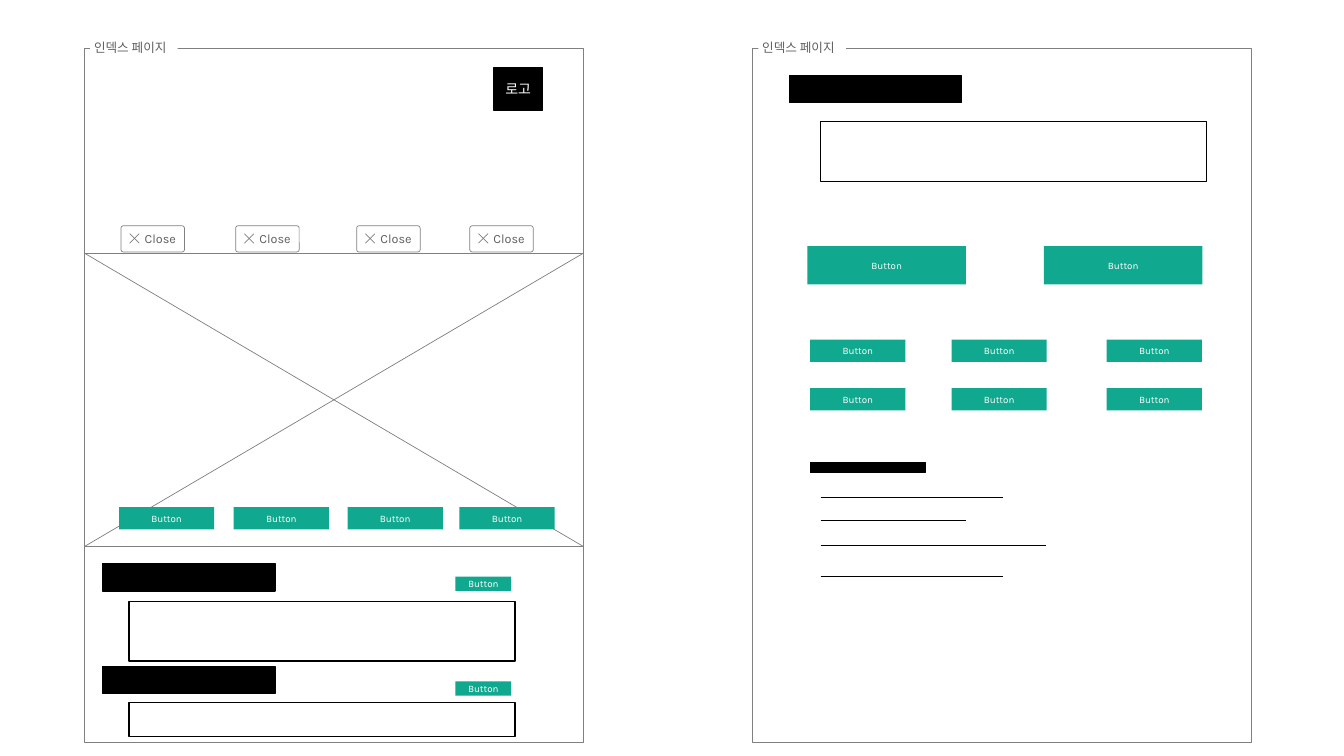
import pptx
import pptx.util
import pptx.dml.color
import pptx.enum.shapes
import pptx.enum.text
import pptx.oxml
import pptx.oxml.ns

Cm = pptx.util.Cm
Pt = pptx.util.Pt
RGBColor = pptx.dml.color.RGBColor
MSO_SHAPE = pptx.enum.shapes.MSO_SHAPE
PP_ALIGN = pptx.enum.text.PP_ALIGN
MSO_ANCHOR = pptx.enum.text.MSO_ANCHOR

WHITE = RGBColor(0xFF, 0xFF, 0xFF)
BLACK = RGBColor(0x00, 0x00, 0x00)
GRAY = RGBColor(0x80, 0x80, 0x80)
TEXT_GRAY = RGBColor(0x5F, 0x5F, 0x5F)
GREEN = RGBColor(0x10, 0xA8, 0x8E)
LATIN_FONT = "Karla"
KOREAN_FONT = "Noto Sans CJK KR"

presentation = pptx.Presentation()
presentation.slide_width = Cm(33.87)
presentation.slide_height = Cm(19.05)
slide = presentation.slides.add_slide(presentation.slide_layouts[6])


def add_box(left, top, width, height, fill, line=None, weight=1, text="", size=7,
            color=WHITE, font=LATIN_FONT, align=PP_ALIGN.CENTER,
            insets=(0, 0, 0, 0), preset=MSO_SHAPE.RECTANGLE):
    box = slide.shapes.add_shape(preset, Cm(left), Cm(top), Cm(width), Cm(height))
    box.shadow.inherit = False
    box.fill.solid()
    box.fill.fore_color.rgb = fill
    if line is None:
        box.line.fill.background()
    else:
        box.line.color.rgb = line
        box.line.width = Pt(weight)
    if text:
        frame = box.text_frame
        frame.word_wrap = True
        frame.vertical_anchor = MSO_ANCHOR.MIDDLE
        (frame.margin_left, frame.margin_top,
         frame.margin_right, frame.margin_bottom) = [Cm(inset) for inset in insets]
        paragraph = frame.paragraphs[0]
        paragraph.text = text
        paragraph.alignment = align
        paragraph.font.size = Pt(size)
        paragraph.font.name = font
        paragraph.font.color.rgb = color
        defaults = paragraph._p.pPr.find(pptx.oxml.ns.qn("a:defRPr"))
        east_asian = pptx.oxml.parse_xml(
            f'<a:ea {pptx.oxml.ns.nsdecls("a")} typeface="{KOREAN_FONT}"/>')
        defaults.append(east_asian)
    return box


def add_line(x1, y1, x2, y2, color):
    line = slide.shapes.add_connector(
        pptx.enum.shapes.MSO_CONNECTOR.STRAIGHT, Cm(x1), Cm(y1), Cm(x2), Cm(y2))
    line.line.color.rgb = color
    line.line.width = Pt(0.5)
    line._element.spPr.append(
        pptx.oxml.parse_xml(f'<a:effectLst {pptx.oxml.ns.nsdecls("a")}/>'))


PAGE_LEFT, PAGE_WIDTH = 2.13, 12.57
for page_left in (PAGE_LEFT, 18.97):
    add_box(page_left, 1.22, PAGE_WIDTH, 17.48, WHITE, GRAY, 0.5)
    add_box(page_left + 0.14, 0.99, 2.21, 0.43, WHITE, text="인덱스 페이지", size=9,
            color=TEXT_GRAY, align=PP_ALIGN.LEFT, insets=(0.1, 0.03, 0.1, 0.03))

CROSS_TOP, CROSS_SIZE = 5.89, 0.24
for close_left in (3.05, 5.94, 8.99, 11.84):
    close_tab = add_box(close_left, 5.69, 1.6, 0.66, WHITE, GRAY, 0.5, "Close", 9,
                        TEXT_GRAY, align=PP_ALIGN.LEFT, insets=(0.58, 0.13, 0, 0.13),
                        preset=MSO_SHAPE.ROUNDED_RECTANGLE)
    close_tab.adjustments[0] = 0.09
    left, right = Cm(close_left + 0.22), Cm(close_left + 0.22 + CROSS_SIZE)
    top, bottom = Cm(CROSS_TOP), Cm(CROSS_TOP + CROSS_SIZE)
    outline = slide.shapes.build_freeform(right, top)
    outline.add_line_segments([(left, bottom)], close=False)
    outline.move_to(left, top)
    outline.add_line_segments([(right, bottom)], close=False)
    cross = outline.convert_to_shape()
    cross.shadow.inherit = False
    cross.fill.background()
    cross.line.color.rgb = GRAY
    cross.line.width = Pt(0.5)

add_box(12.45, 1.7, 1.22, 1.09, BLACK, BLACK, text="로고", size=10, font=KOREAN_FONT)

HERO_TOP, HERO_HEIGHT = 6.38, 7.39
HERO_RIGHT, HERO_BOTTOM = PAGE_LEFT + PAGE_WIDTH, HERO_TOP + HERO_HEIGHT
add_box(PAGE_LEFT, HERO_TOP, PAGE_WIDTH, HERO_HEIGHT, WHITE, GRAY, 0.5)
add_line(PAGE_LEFT, HERO_BOTTOM, HERO_RIGHT, HERO_TOP, GRAY)
add_line(PAGE_LEFT, HERO_TOP, HERO_RIGHT, HERO_BOTTOM, GRAY)

for heading_left, heading_top in ((2.59, 14.2), (2.59, 16.79), (19.89, 1.9)):
    add_box(heading_left, heading_top, 4.34, 0.69, BLACK, BLACK)
for panel_left, panel_top, panel_height in ((3.25, 15.16, 1.5), (3.25, 17.7, 0.86),
                                            (20.68, 3.07, 1.5)):
    add_box(panel_left, panel_top, 9.73, panel_height, WHITE, BLACK)

button_groups = [
    ((3, 5.89, 8.76, 11.58), (12.78,), 2.4, 0.56),
    ((20.35, 26.31), (6.2,), 3.99, 0.97),
    ((20.42, 23.98, 27.89), (8.56, 9.78), 2.4, 0.56),
    ((11.48,), (14.53, 17.17), 1.4, 0.36),
]
for button_lefts, button_tops, width, height in button_groups:
    for button_top in button_tops:
        for button_left in button_lefts:
            add_box(button_left, button_top, width, height, GREEN, text="Button")

add_box(20.42, 11.66, 2.9, 0.25, BLACK, BLACK)
for rule_top, rule_length in ((12.52, 4.6), (13.11, 3.66), (13.74, 5.69), (14.53, 4.6)):
    add_line(20.68, rule_top, 20.68 + rule_length, rule_top, BLACK)

presentation.save("out.pptx")
